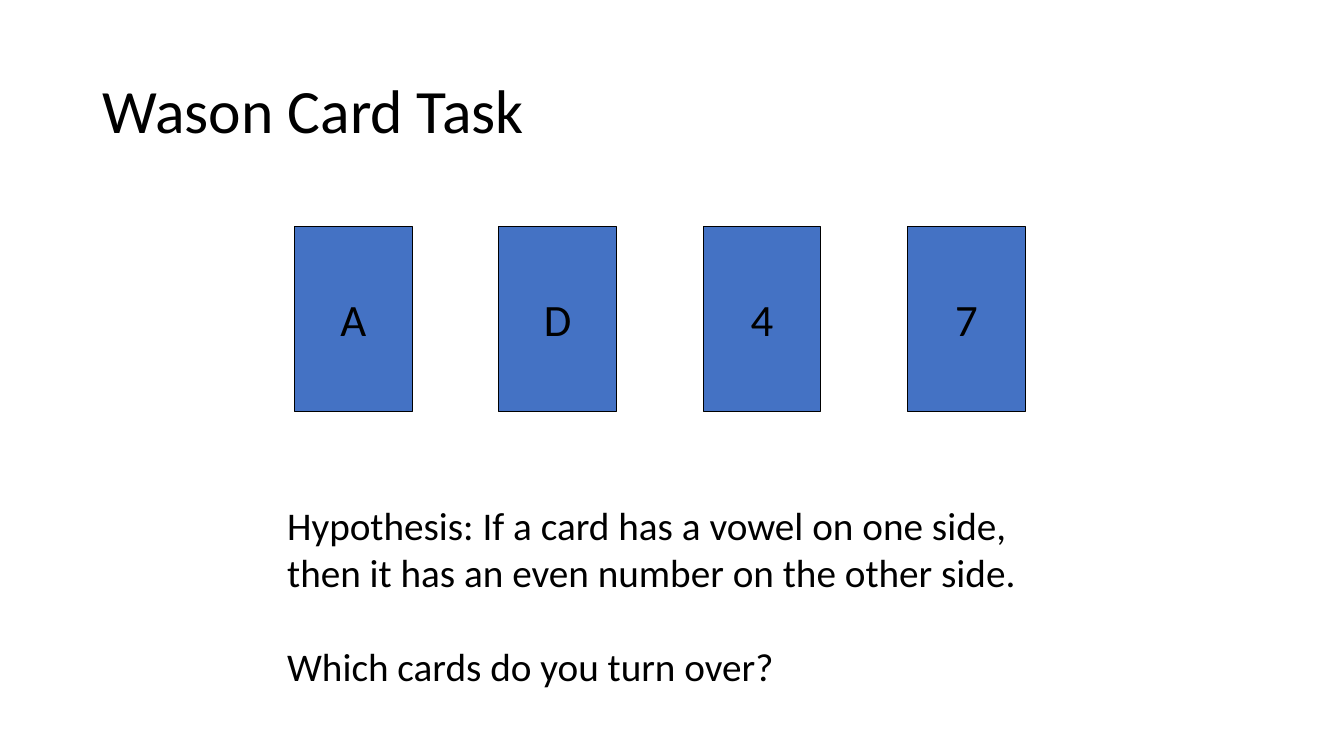
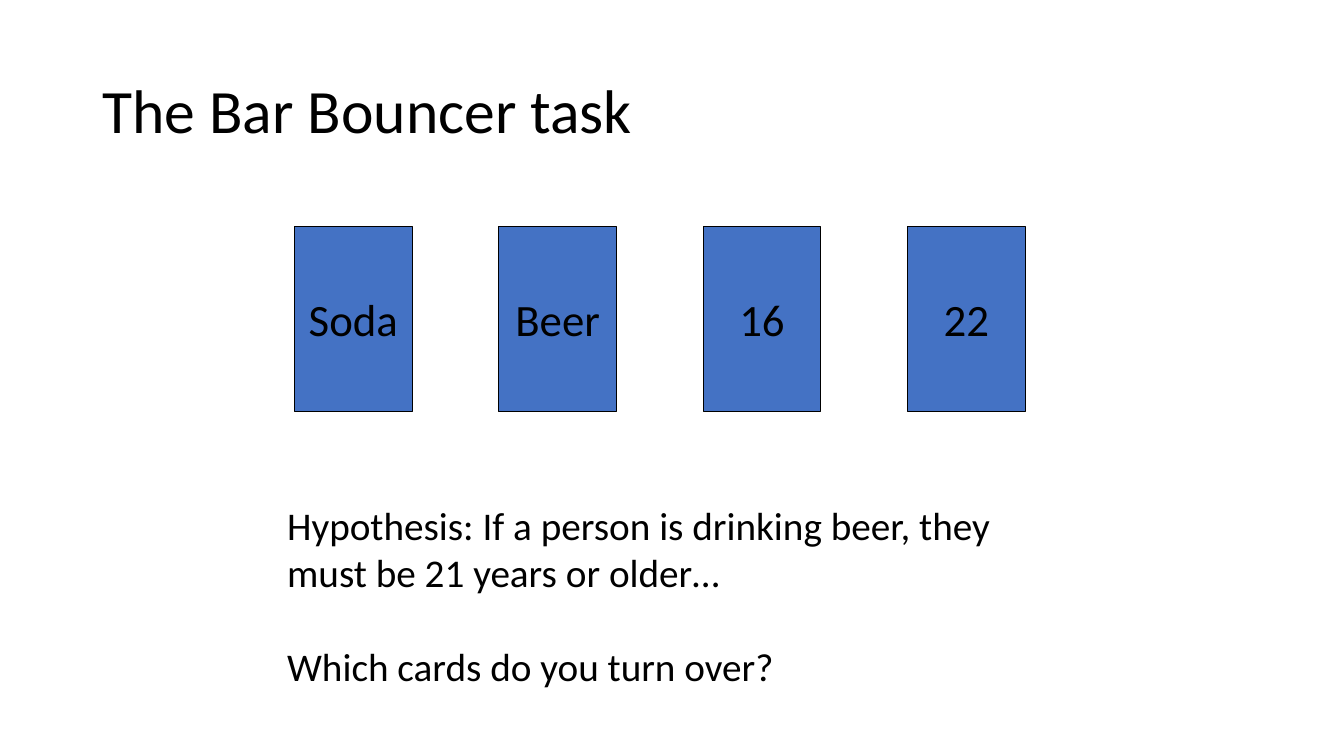
"""Build two card-selection task slides: four cards above a hypothesis and a question."""
from pptx import Presentation
from pptx.dml.color import RGBColor
from pptx.enum.shapes import MSO_SHAPE
from pptx.enum.text import MSO_ANCHOR, MSO_AUTO_SIZE, PP_ALIGN
from pptx.util import Inches, Pt

BLACK = RGBColor(0x00, 0x00, 0x00)
BLUE = RGBColor(0x44, 0x72, 0xC4)
FONT = "Calibri"
QUESTION = "Which cards do you turn over?"

CARD_LEFT, LAST_CARD_LEFT, CARD_TOP = 2.92, 9, 2.25
CARD_WIDTH, CARD_HEIGHT = 1.17, 1.83

TITLE_FRAME = {"word_wrap": True, "vertical_anchor": MSO_ANCHOR.MIDDLE}
CARD_FRAME = {"word_wrap": False, "vertical_anchor": MSO_ANCHOR.MIDDLE}
BODY_FRAME = {"word_wrap": True, "auto_size": MSO_AUTO_SIZE.SHAPE_TO_FIT_TEXT}
TITLE_PARA = {"line_spacing": 0.9}
CARD_PARA = {"alignment": PP_ALIGN.CENTER}
QUESTION_PARA = {"space_before": Pt(34)}

SLIDES = [
    ("Wason Card Task", ["A", "D", "4", "7"],
     "Hypothesis: If a card has a vowel on one side, "
     "then it has an even number on the other side."),
    ("The Bar Bouncer task", ["Soda", "Beer", "16", "22"],
     "Hypothesis: If a person is drinking beer, they must be 21 years or older…"),
]


def apply(obj, values):
    for name, value in values.items():
        setattr(obj, name, value)


def write(sp, size, frame, paras):
    tf = sp.text_frame
    apply(tf, frame)
    for i, (text, para) in enumerate(paras):
        p = tf.add_paragraph() if i else tf.paragraphs[0]
        apply(p, para)
        r = p.add_run()
        r.text = text
        apply(r.font, {"name": FONT, "size": Pt(size)})
        r.font.color.rgb = BLACK


prs = Presentation()
prs.slide_width, prs.slide_height = Inches(13.33), Inches(7.5)

for title, cards, hypothesis in SLIDES:
    s = prs.slides.add_slide(prs.slide_layouts[6])

    sp = s.shapes.add_textbox(Inches(0.92), Inches(0.4), Inches(11.5), Inches(1.45))
    write(sp, 44, TITLE_FRAME, [(title, TITLE_PARA)])

    pitch = (LAST_CARD_LEFT - CARD_LEFT) / (len(cards) - 1)
    for i, label in enumerate(cards):
        sp = s.shapes.add_shape(MSO_SHAPE.RECTANGLE, Inches(CARD_LEFT + i * pitch),
                                Inches(CARD_TOP), Inches(CARD_WIDTH), Inches(CARD_HEIGHT))
        sp.shadow.inherit = False
        sp.fill.solid()
        sp.fill.fore_color.rgb = BLUE
        sp.line.color.rgb = BLACK
        sp.line.width = Pt(0.75)
        write(sp, 32, CARD_FRAME, [(label, CARD_PARA)])

    sp = s.shapes.add_textbox(Inches(2.75), Inches(4.92), Inches(7.6), Inches(1.99))
    write(sp, 28, BODY_FRAME, [(hypothesis, {}), (QUESTION, QUESTION_PARA)])

prs.save("out.pptx")
